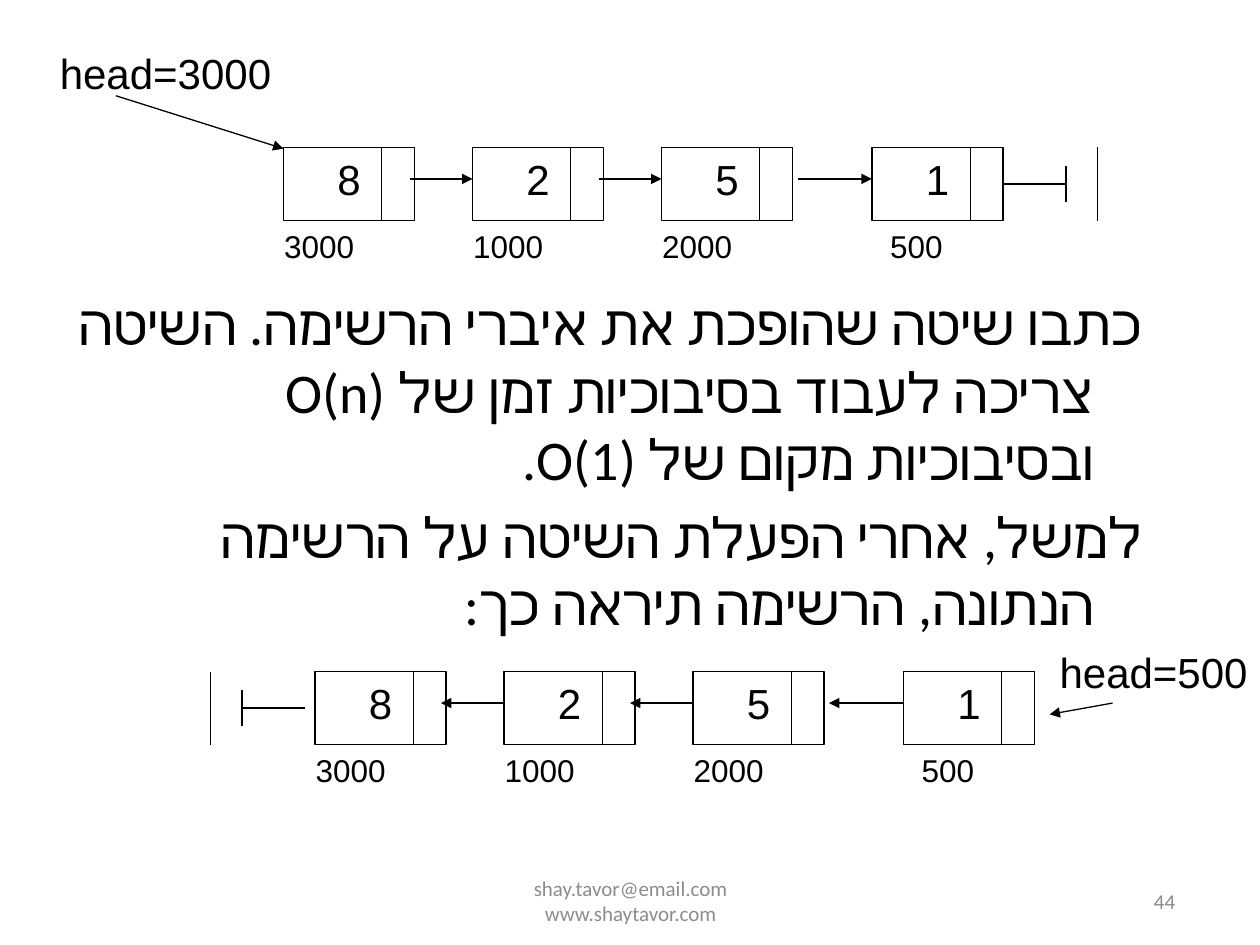
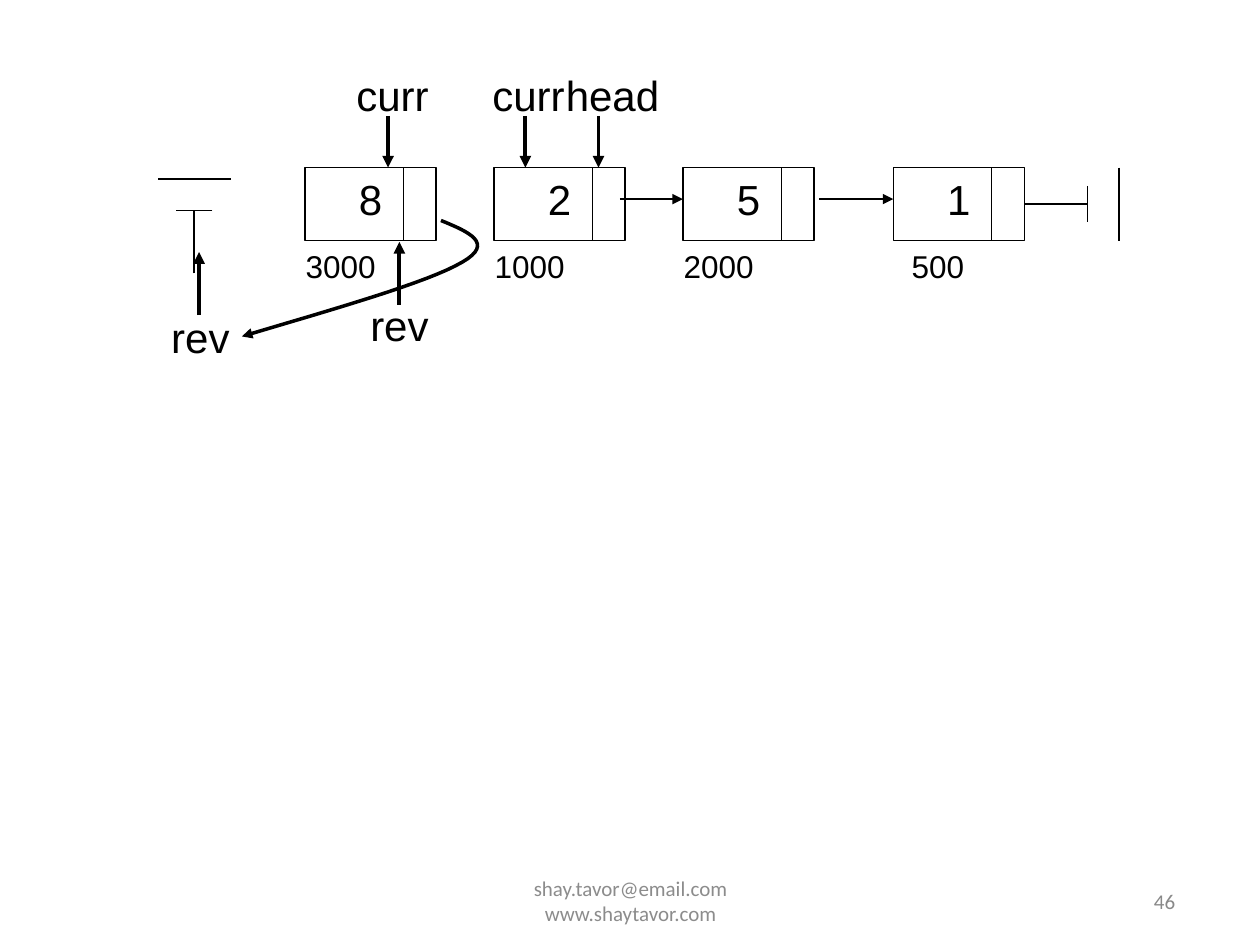
from dataclasses import dataclass

from lxml import etree
from pptx import Presentation
from pptx.dml.color import RGBColor
from pptx.enum.shapes import MSO_CONNECTOR, MSO_SHAPE
from pptx.enum.text import MSO_ANCHOR, MSO_AUTO_SIZE, PP_ALIGN
from pptx.oxml.ns import qn
from pptx.util import Inches, Pt

STRAIGHT, RECT = MSO_CONNECTOR.STRAIGHT, MSO_SHAPE.RECTANGLE
LEFT, CENTER, RIGHT = PP_ALIGN.LEFT, PP_ALIGN.CENTER, PP_ALIGN.RIGHT
TOP, MIDDLE = MSO_ANCHOR.TOP, MSO_ANCHOR.MIDDLE


@dataclass(frozen=True)
class Theme:
    ink: RGBColor = RGBColor(0, 0, 0)
    paper: RGBColor = RGBColor(255, 255, 255)
    footer: RGBColor = RGBColor(0x8C, 0x8C, 0x8C)
    number: RGBColor = RGBColor(0x89, 0x89, 0x89)
    body_font: str = "Calibri"
    label_font: str = "Arial"
    node_font: str = "Times New Roman"
    body_size: int = 32
    name_size: int = 24
    address_size: int = 18
    footer_size: int = 12
    thin: float = 0.75
    curve: float = 2
    thick: float = 2.25


T = Theme()

# Linked list: value, address, offset of the node from the left of the list
NODES = [("8", "3000", 0), ("2", "1000", 1.5), ("5", "2000", 3), ("1", "500", 4.67)]
LINK_STARTS = [1, 2.5, 4.08]
NODE_W, NODE_H, DIVIDER = 1.04, 0.58, 0.78
FOOTER = "shay.tavor@email.com\vwww.shaytavor.com"


# Text and line helpers
def format_paragraph(p, font, size, color, align, cs_font=None):
    p.alignment = align
    p.font.name, p.font.size = font, Pt(size)
    p.font.color.rgb = color
    p._p.get_or_add_pPr().set("rtl", "1")
    for r in p.runs:
        r_pr = r._r.get_or_add_rPr()
        etree.SubElement(r_pr, qn("a:cs")).set("typeface", cs_font or font)
        r.font.name = font


def add_text(s, box, text, font, size, color=T.ink, align=RIGHT, anchor=TOP):
    tf = s.shapes.add_textbox(*map(Inches, box)).text_frame
    tf.word_wrap = True
    tf.vertical_anchor = anchor
    p = tf.paragraphs[0]
    p.text = text
    format_paragraph(p, font, size, color, align)


def add_name(s, box, text):
    add_text(s, box, text, T.label_font, T.name_size)


def style_line(shape, width, arrow):
    shape.line.color.rgb = T.ink
    shape.line.width = Pt(width)
    if arrow:
        ln = shape.line._get_or_add_ln()
        etree.SubElement(ln, qn("a:tailEnd")).set("type", "triangle")


def add_line(shapes, start, end, width=T.thin, arrow=False):
    line = shapes.add_connector(STRAIGHT, *map(Inches, (*start, *end)))
    style_line(line, width, arrow)
    etree.SubElement(line._element.spPr, qn("a:effectLst"))


def add_arrow(s, start, end, width=T.thin):
    add_line(s.shapes, start, end, width, arrow=True)


# Parts of a linked list
def add_node(s, x, y, value, address):
    shapes = s.shapes.add_group_shape().shapes
    box = shapes.add_shape(RECT, *map(Inches, (x, y, NODE_W, NODE_H)))
    box.shadow.inherit = False
    box.fill.solid()
    box.fill.fore_color.rgb = T.paper
    style_line(box, T.thin, arrow=False)
    tf = box.text_frame
    tf.vertical_anchor = TOP
    p = tf.paragraphs[0]
    p.text = value
    format_paragraph(p, T.node_font, T.name_size, T.ink, CENTER, T.label_font)
    add_line(shapes, (x + DIVIDER, y), (x + DIVIDER, y + NODE_H))
    add_text(s, (x - 0.17, y + NODE_H, 0.83, 0.4), address, T.label_font, T.address_size)


def add_null(s, x, y, dx, dy):
    """Null mark: a stem from (x, y) along (dx, dy), then a short and a long bar."""
    shapes = s.shapes.add_group_shape().shapes
    add_line(shapes, (x, y), (x + 0.5 * dx, y + 0.5 * dy))
    for distance, half in ((0.5, 0.145), (0.75, 0.29)):
        bx, by = x + distance * dx, y + distance * dy
        add_line(shapes, (bx - half * dy, by - half * dx), (bx + half * dy, by + half * dx))


def add_list(s, x, y, links=(0, 1, 2), reverse=False):
    for value, address, offset in NODES:
        add_node(s, x + offset, y, value, address)
    for i in links:
        ends = [(x + LINK_STARTS[i], y + 0.25), (x + NODES[i + 1][2], y + 0.25)]
        add_arrow(s, *(ends[::-1] if reverse else ends))
    if reverse:
        add_null(s, x - 0.08, y + 0.29, -1, 0)
    else:
        add_null(s, x + NODES[-1][2] + NODE_W, y + 0.29, 1, 0)


def add_curve(s, start, *segments):
    """Arrow along cubic segments, each given as two controls and an end."""
    points, p0 = [], start
    steps = 16
    for c1, c2, p1 in segments:
        for t in (k / steps for k in range(1, steps + 1)):
            u = 1 - t
            points.append(tuple(
                Inches(u**3 * a + 3 * u * u * t * b + 3 * u * t * t * c + t**3 * d)
                for a, b, c, d in zip(p0, c1, c2, p1)))
        p0 = p1
    builder = s.shapes.build_freeform(*map(Inches, start))
    builder.add_line_segments(points, close=False)
    curve = builder.convert_to_shape()
    curve.shadow.inherit = False
    curve.fill.background()
    style_line(curve, T.curve, arrow=True)


# Slide regions
def add_body(s, box, paragraphs):
    body = s.placeholders[1]
    body.left, body.top, body.width, body.height = map(Inches, box)
    tf = body.text_frame
    tf.auto_size = MSO_AUTO_SIZE.NONE
    tf.text = "\n".join(paragraphs)
    for p in tf.paragraphs:
        format_paragraph(p, T.body_font, T.body_size, T.ink, RIGHT)
        p.space_before = Pt(0.2 * T.body_size)
        p_pr = p._p.get_or_add_pPr()
        p_pr.set("marL", str(Inches(0.38)))
        p_pr.set("indent", str(Inches(-0.38)))
        p_pr.insert_element_before(etree.Element(qn("a:buNone")), "a:tabLst", "a:defRPr")


def add_footer(s, number):
    add_text(s, (3.42, 6.95, 3.17, 0.4), FOOTER, T.body_font, T.footer_size,
             T.footer, CENTER, MIDDLE)
    add_text(s, (9.06, 6.95, 0.44, 0.4), number, T.body_font, T.footer_size,
             T.number, LEFT, MIDDLE)


# Slides
def exercise_slide(prs):
    s = prs.slides.add_slide(prs.slide_layouts[1])
    title = s.shapes.title._element
    title.getparent().remove(title)
    add_body(s, (0.5, 2.25, 8.67, 3), [
        "כתבו שיטה שהופכת את איברי הרשימה. השיטה צריכה לעבוד בסיבוכיות זמן של O(n) "
        "ובסיבוכיות מקום של O(1).",
        "למשל, אחרי הפעלת השיטה על הרשימה הנתונה, הרשימה תיראה כך:",
    ])
    # List before
    add_list(s, 2.25, 1.17)
    add_name(s, (0.17, 0.33, 2.08, 0.5), "head=3000")
    add_arrow(s, (0.92, 0.76), (2.25, 1.18))
    # List after
    add_list(s, 2.5, 5.33, reverse=True)
    add_name(s, (7.92, 5.08, 2.08, 0.5), "head=500")
    add_arrow(s, (8.83, 5.58), (8.33, 5.67))
    add_footer(s, "44")


def step_slide(prs):
    s = prs.slides.add_slide(prs.slide_layouts[6])
    add_list(s, 2.42, 1.33, links=(1, 2))
    add_null(s, 1.54, 2.17, 0, -1)
    # Pointer names: text, left, top, width
    for text, x, y, w in (("rev", 0.92, 2.42, 1), ("rev", 2.5, 2.33, 1),
                          ("curr", 2.5, 0.5, 1), ("curr", 3.58, 0.5, 1),
                          ("head", 4.08, 0.5, 1.25)):
        add_name(s, (x, y, w, 0.5), text)
    # Pointer arrows: x, from, to
    for x, y1, y2 in ((1.58, 2.5, 2), (3.17, 2.42, 1.92), (3.08, 0.92, 1.33),
                      (4.17, 0.92, 1.33), (4.75, 0.92, 1.33)):
        add_arrow(s, (x, y1), (x, y2), T.thick)
    # Redirected link of the first node
    add_curve(s, (3.5, 1.75),
              ((3.72, 1.84), (3.93, 1.93), (3.67, 2.08)),
              ((3.4, 2.24), (2.66, 2.45), (1.92, 2.67)))
    add_footer(s, "46")


prs = Presentation()
prs.slide_width, prs.slide_height = Inches(10), Inches(7.5)
exercise_slide(prs)
step_slide(prs)
prs.save("out.pptx")
